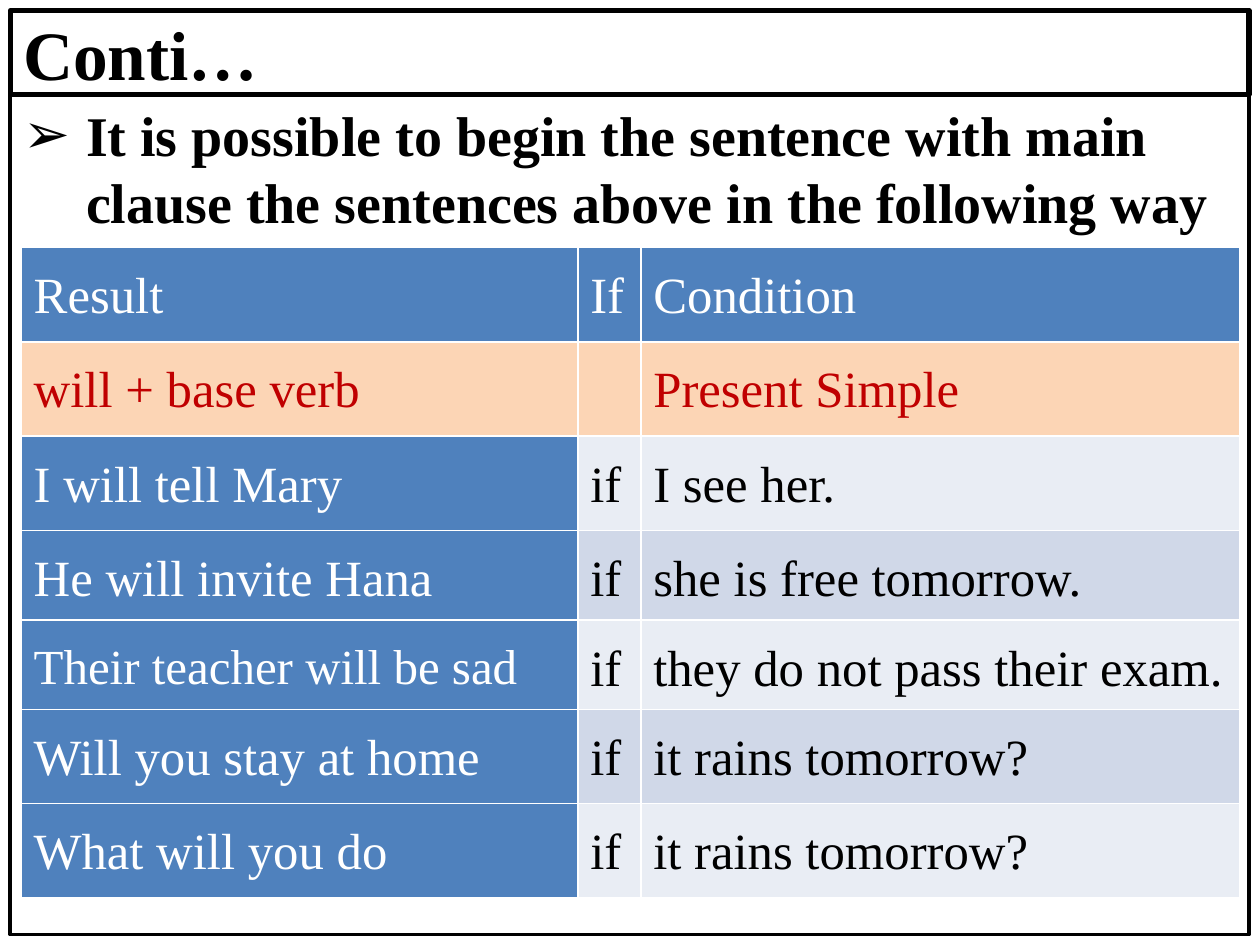
from lxml.etree import SubElement
from pptx import Presentation
from pptx.dml.color import RGBColor
from pptx.enum.text import MSO_ANCHOR, MSO_AUTO_SIZE, PP_ALIGN
from pptx.oxml.ns import qn
from pptx.util import Cm, Pt

FONT = "Times New Roman"
BLACK = RGBColor(0x00, 0x00, 0x00)
WHITE = RGBColor(0xFF, 0xFF, 0xFF)
BLUE = RGBColor(0x4F, 0x81, 0xBD)
PEACH = RGBColor(0xFC, 0xD5, 0xB5)
RED = RGBColor(0xC0, 0x00, 0x00)
LIGHT_BAND = RGBColor(0xE9, 0xED, 0xF4)
DARK_BAND = RGBColor(0xD0, 0xD8, 0xE8)

CLAUSES = [
    ("Result", "If", "Condition"),
    ("will + base verb", "", "Present Simple"),
    ("I will tell Mary", "if", "I see her."),
    ("He will invite Hana", "if", "she is free tomorrow."),
    ("Their teacher will be sad", "if", "they do not pass their exam."),
    ("Will you stay at home", "if", "it rains tomorrow?"),
    ("What will you do", "if", "it rains tomorrow?"),
]
COLUMN_WIDTHS = (11.22, 1.27, 12.07)
ROW_HEIGHTS = (1.9, 1.9, 1.9, 1.6, 1.68, 1.9, 1.9)


def set_font(paragraph, size, color, bold):
    font = paragraph.font
    font.name = FONT
    font.size = Pt(size)
    font.bold = bold
    font.color.rgb = color


def add_bullet(paragraph, character, indent):
    properties = paragraph._p.get_or_add_pPr()
    properties.set("marL", str(indent))
    properties.set("indent", str(-indent))
    SubElement(properties, qn("a:buFont")).set("typeface", "Arial")
    SubElement(properties, qn("a:buChar")).set("char", character)


def fill_placeholder(shape, text, top, height, size, line_width, anchor, bullet=None):
    """Place a framed, left-aligned placeholder across the slide."""
    shape.left, shape.top = Cm(0.21), Cm(top)
    shape.width, shape.height = Cm(24.97), Cm(height)
    shape.line.color.rgb = BLACK
    shape.line.width = Pt(line_width)
    frame = shape.text_frame
    frame.text = text
    frame.auto_size = MSO_AUTO_SIZE.NONE
    frame.vertical_anchor = anchor
    paragraph = frame.paragraphs[0]
    paragraph.alignment = PP_ALIGN.LEFT
    if bullet:
        add_bullet(paragraph, bullet, Cm(1.27))
    set_font(paragraph, size, BLACK, True)


def cell_colors(row, column):
    """Return the fill and text colours for a table position."""
    if row == 1:
        return PEACH, RED
    if row == 0 or column == 0:
        return BLUE, WHITE
    return (DARK_BAND if row % 2 else LIGHT_BAND), BLACK


def fill_cell(cell, text, fill, color, size):
    cell.fill.solid()
    cell.fill.fore_color.rgb = fill
    cell.margin_left = cell.margin_right = Cm(0.25)
    cell.margin_top = cell.margin_bottom = Cm(0.25)
    if text:
        cell.text = text
        paragraph = cell.text_frame.paragraphs[0]
        paragraph.line_spacing = 1.15
        set_font(paragraph, size, color, False)


def add_clause_table(slide):
    table = slide.shapes.add_table(
        len(CLAUSES), len(COLUMN_WIDTHS), Cm(0.43), Cm(4.99),
        Cm(sum(COLUMN_WIDTHS)), Cm(sum(ROW_HEIGHTS))).table
    for column, width in zip(table.columns, COLUMN_WIDTHS):
        column.width = Cm(width)
    for row, height in zip(table.rows, ROW_HEIGHTS):
        row.height = Cm(height)
    for row, texts in enumerate(CLAUSES):
        for column, text in enumerate(texts):
            # The longest result is set slightly smaller
            size = 28 if (row, column) == (4, 0) else 29
            fill_cell(table.cell(row, column), text,
                      *cell_colors(row, column), size)


def main():
    presentation = Presentation()
    presentation.slide_width, presentation.slide_height = Cm(25.4), Cm(19.05)
    slide = presentation.slides.add_slide(presentation.slide_layouts[0])

    # Title and introduction
    fill_placeholder(slide.shapes.title, "Conti…", 0.21, 1.69, 39.6, 3,
                     MSO_ANCHOR.MIDDLE)
    fill_placeholder(
        slide.placeholders[1],
        "It is possible to begin the sentence with main clause "
        "the sentences above in the following way",
        1.9, 16.94, 32, 2.25, MSO_ANCHOR.TOP, bullet="➢")

    # Result and condition clauses
    add_clause_table(slide)
    presentation.save("out.pptx")


if __name__ == "__main__":
    main()
